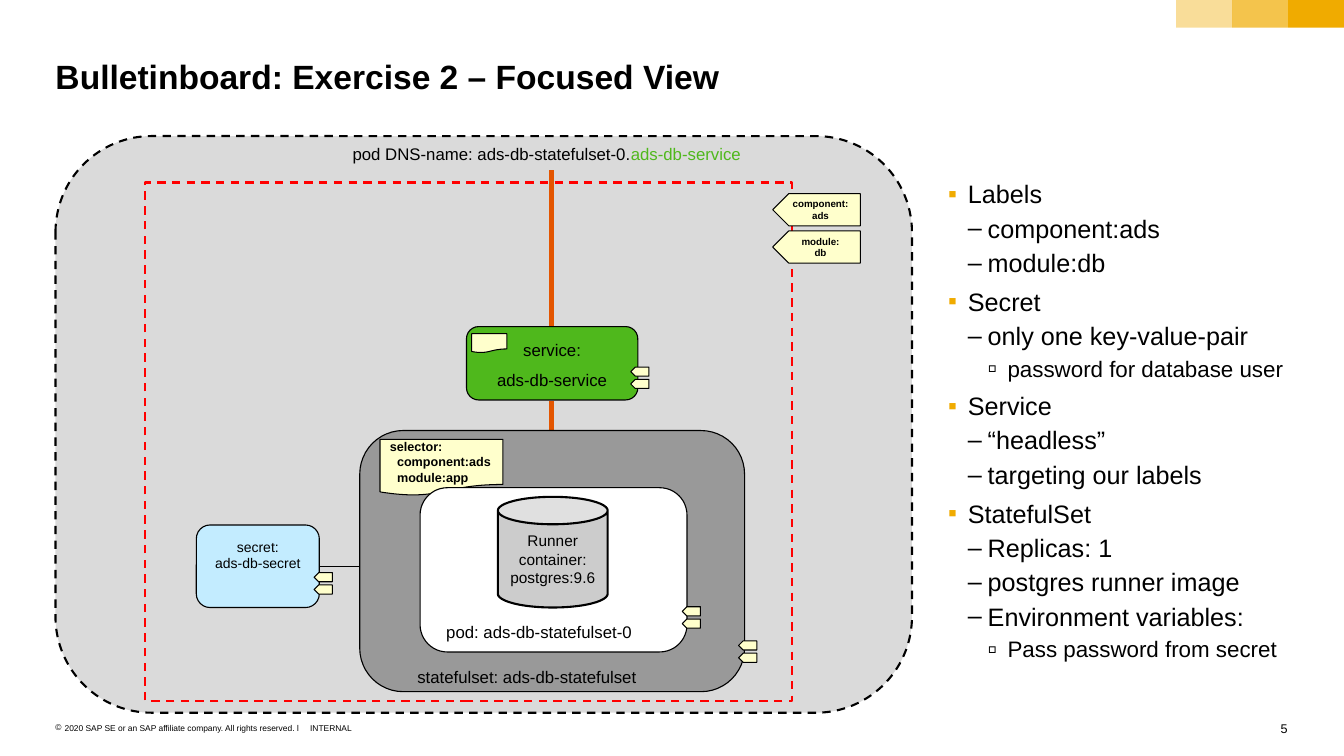
from dataclasses import dataclass
from pptx import Presentation
from pptx import util as u
from pptx.dml import color
from pptx.enum import dml, shapes, text
from pptx.oxml import ns, xmlchemy as xc

Cm, Pt = u.Cm, u.Pt
KIND = shapes.MSO_SHAPE
MID, TOP = text.MSO_ANCHOR.MIDDLE, text.MSO_ANCHOR.TOP
LEFT, CENTER, RIGHT = text.PP_ALIGN.LEFT, text.PP_ALIGN.CENTER, text.PP_ALIGN.RIGHT


@dataclass(frozen=True)
class Theme:
    font: str = "Arial"
    ink: str = "000000"
    gold: str = "F0AB00"
    panel: str = "D9D9D9"
    frame: str = "FF0000"
    cord: str = "E35500"
    green: str = "4FB81C"
    blue: str = "C3ECFF"
    note: str = "FFFFCC"
    dark: str = "999999"
    can: str = "CCCCCC"
    white: str = "FFFFFF"
    title: float = 24
    body: float = 18
    sub: float = 16
    label: float = 12
    can_size: float = 11
    small: float = 10
    page: float = 9
    tag: float = 7
    foot: float = 6


T = Theme()


@dataclass(frozen=True)
class Box:
    x: float
    y: float
    w: float
    h: float

    def sub(self, x, y, w, h):
        """Box placed relative to this one's top left corner."""
        return Box(self.x + x, self.y + y, w, h)

    def cm(self):
        return [Cm(v) for v in (self.x, self.y, self.w, self.h)]


def rgb(code):
    return color.RGBColor.from_string(code)


def node(parent, tag, **attrs):
    item = xc.OxmlElement(tag)
    for key, val in attrs.items():
        item.set(key, str(val))
    parent.append(item)
    return item


def run(para, words, size, ink=T.ink, bold=False):
    part = para.add_run()
    part.text = words
    font = part.font
    font.name, font.size, font.bold = T.font, Pt(size), bold
    font.color.rgb = rgb(ink)


def lines(para, words, size, bold=False):
    """Add each line of words as a run, with line breaks between."""
    for i, line in enumerate(words.split("\n")):
        if i:
            para.add_line_break()
        run(para, line, size, bold=bold)


def bullet(para, char, ink, left, hang, scale=100):
    props = para._p.get_or_add_pPr()
    props.set("marL", str(Cm(left)))
    props.set("indent", str(-Cm(hang)))
    node(node(props, "a:buClr"), "a:srgbClr", val=ink)
    node(props, "a:buSzPct", val=scale * 1000)
    node(props, "a:buFont", typeface=T.font)
    node(props, "a:buChar", char=char)


def setup(shape, inset=(0, 0), anchor=TOP, align=LEFT, wrap=True):
    frame = shape.text_frame
    frame.word_wrap, frame.vertical_anchor = wrap, anchor
    frame.margin_left = frame.margin_right = Cm(inset[0])
    frame.margin_top = frame.margin_bottom = Cm(inset[1])
    frame.paragraphs[0].alignment = align
    return frame


def label(slide, box, words, size, bold=False, align=LEFT, wrap=True):
    frame = setup(slide.shapes.add_textbox(*box.cm()), align=align, wrap=wrap)
    para = frame.paragraphs[0]
    run(para, words, size, bold=bold)
    return para


def block(slide, kind, box, fill=None, line=T.ink, width=0.79, dash=False, alpha=100):
    shape = slide.shapes.add_shape(kind, *box.cm())
    shape.shadow.inherit = False
    if fill:
        shape.fill.solid()
        shape.fill.fore_color.rgb = rgb(fill)
        if alpha < 100:
            tint = shape._element.spPr.find(".//" + ns.qn("a:srgbClr"))
            node(tint, "a:alpha", val=alpha * 1000)
    else:
        shape.fill.background()
    if line:
        shape.line.color.rgb, shape.line.width = rgb(line), Pt(width)
        if dash:
            shape.line.dash_style = dml.MSO_LINE.DASH
    else:
        shape.line.fill.background()
    return shape


def link(slide, x1, y1, x2, y2, ink=T.cord, width=3):
    line = slide.shapes.add_connector(
        shapes.MSO_CONNECTOR.STRAIGHT, Cm(x1), Cm(y1), Cm(x2), Cm(y2))
    line.line.color.rgb, line.line.width = rgb(ink), Pt(width)
    node(line._element.spPr, "a:effectLst")


def tags(slide, box, step=0.31, words=("", "")):
    """Stack of tags pointing left; box is the first one."""
    for i, word in enumerate(words):
        spot = box.sub(0, i * step, box.w, box.h)
        tag = block(slide, KIND.PENTAGON, spot, T.note, width=0.75)
        tag._element.spPr.find(ns.qn("a:xfrm")).set("flipH", "1")
        if word:
            frame = setup(tag, (0.25, 0.2), MID, CENTER)
            lines(frame.paragraphs[0], word, T.tag, True)


def service(slide, box):
    card = block(slide, KIND.ROUNDED_RECTANGLE, box, T.green)
    frame = setup(card, (0.3, 0.23), align=CENTER)
    run(frame.paragraphs[0], "service:", T.label)
    name = frame.add_paragraph()
    name.alignment, name.space_before = CENTER, Pt(7)
    run(name, "ads-db-service", T.label)
    tags(slide, box.sub(4.14, 1.02, 0.46, 0.23))
    block(slide, KIND.FLOWCHART_DOCUMENT, box.sub(0.13, 0.18, 0.89, 0.48), T.note, width=0.75)


def secret(slide, box):
    card = block(slide, KIND.ROUNDED_RECTANGLE, box, T.blue)
    frame = setup(card, (0.3, 0.23), align=CENTER)
    lines(frame.paragraphs[0], "secret:\nads-db-secret", T.small)
    tags(slide, box.sub(2.97, 1.2, 0.46, 0.23))
    mid = box.y + box.h / 2
    link(slide, box.x + box.w, mid, box.x + 4.12, mid, T.ink, 1)


def pod(slide, box):
    block(slide, KIND.ROUNDED_RECTANGLE, box, T.white)
    label(slide, box.sub(0.66, 3.38, 5.18, 0.51), "pod: ads-db-statefulset-0", T.label)
    tags(slide, box.sub(6.61, 3, 0.46, 0.23))
    can = block(slide, KIND.CAN, box.sub(1.96, 0.23, 2.77, 2.79), T.can, width=1.5)
    frame = setup(can, (0.25, 0.2), MID, CENTER)
    lines(frame.paragraphs[0], "Runner container:\npostgres:9.6", T.can_size)


def stateful(slide, box):
    block(slide, KIND.ROUNDED_RECTANGLE, box, T.dark)
    label(slide, box.sub(1.45, 5.96, 7.59, 0.51), "statefulset: ads-db-statefulset", T.label)
    tags(slide, box.sub(9.55, 5.3, 0.46, 0.23))
    note = block(slide, KIND.FLOWCHART_DOCUMENT, box.sub(0.51, 0.22, 3.1, 1.42), T.note, width=0.75)
    frame = setup(note, (0.25, 0.2), MID)
    run(frame.paragraphs[0], "selector:", T.page, bold=True)
    for word in ("component:ads", "module:app"):
        para = frame.add_paragraph()
        para.alignment = LEFT
        para._p.get_or_add_pPr().set("marL", str(Cm(0.18)))
        run(para, word, T.page, bold=True)
    pod(slide, box.sub(1.52, 1.44, 6.73, 4.14))


def diagram(slide, box):
    block(slide, KIND.ROUNDED_RECTANGLE, box, T.panel, width=1.5, dash=True, alpha=97)
    dns = label(slide, box.sub(7.49, 0.2, 10.06, 0.51), "pod DNS-name: ads-db-statefulset-0.", T.label)
    run(dns, "ads-db-service", T.label, T.green)
    block(slide, KIND.RECTANGLE, box.sub(2.26, 1.17, 16.31, 13.06), None, T.frame, 1.5, True)
    for top, end in ((0.86, 4.8), (6.68, 7.42)):
        link(slide, box.x + 12.5, box.y + top, box.x + 12.5, box.y + end)
    tags(slide, box.sub(18.08, 1.45, 2.21, 0.81), 0.94, ("component:ads", "module:\ndb"))
    stateful(slide, box.sub(7.67, 7.42, 9.7, 6.58))
    service(slide, box.sub(10.36, 4.8, 4.32, 1.85))
    secret(slide, box.sub(3.55, 9.8, 3.1, 2.08))


def notes(slide, box):
    """Bulleted list at three levels."""
    style = (("▪", T.gold, T.body, 6, 100), ("–", T.ink, T.body, 3, 100), ("▫", T.ink, T.sub, 3, 120))
    items = ((0, "Labels"), (1, "component:ads"), (1, "module:db"),
             (0, "Secret"), (1, "only one key-value-pair"), (2, "password for database user"),
             (0, "Service"), (1, "“headless”"), (1, "targeting our labels"),
             (0, "StatefulSet"), (1, "Replicas: 1"), (1, "postgres runner image"),
             (1, "Environment variables:"), (2, "Pass password from secret"))
    frame = setup(slide.shapes.add_textbox(*box.cm()))
    for i, (level, words) in enumerate(items):
        para = frame.add_paragraph() if i else frame.paragraphs[0]
        char, ink, size, gap, scale = style[level]
        para.level = level
        bullet(para, char, ink, 0.5 * (level + 1), 0.5, scale)
        if i:
            para.space_before = Pt(gap)
        run(para, words, size)


def edges(slide, box):
    """Colour bars at the top right, and the footer line."""
    for i, alpha in enumerate((40, 70, 100)):
        spot = box.sub(box.w - 1.41 * (3 - i), 0, 1.41, 0.7)
        block(slide, KIND.RECTANGLE, spot, T.gold, None, alpha=alpha)
    foot = label(slide, box.sub(1.4, 18.21, 6.3, 0.25),
                 "2020 SAP SE or an SAP affiliate company. All rights reserved. ǀ", T.foot)
    bullet(foot, "©", T.ink, 0.23, 0.23)
    label(slide, box.sub(7.82, 18.21, 1.07, 0.25), "INTERNAL", T.foot, wrap=False)
    label(slide, box.sub(32.08, 18.16, 0.38, 0.38), "5", T.page, align=RIGHT, wrap=False)


def main():
    deck = Presentation()
    page = Box(0, 0, 33.88, 19.05)
    deck.slide_width, deck.slide_height = Cm(page.w), Cm(page.h)
    slide = deck.slides.add_slide(deck.slide_layouts[6])
    edges(slide, page)
    label(slide, page.sub(1.4, 1.4, 31.06, 1.02), "Bulletinboard: Exercise 2 – Focused View", T.title, True)
    diagram(slide, page.sub(1.4, 3.43, 21.59, 14.53))
    notes(slide, page.sub(23.9, 4.5, 8.56, 13.11))
    deck.save("out.pptx")


if __name__ == "__main__":
    main()
